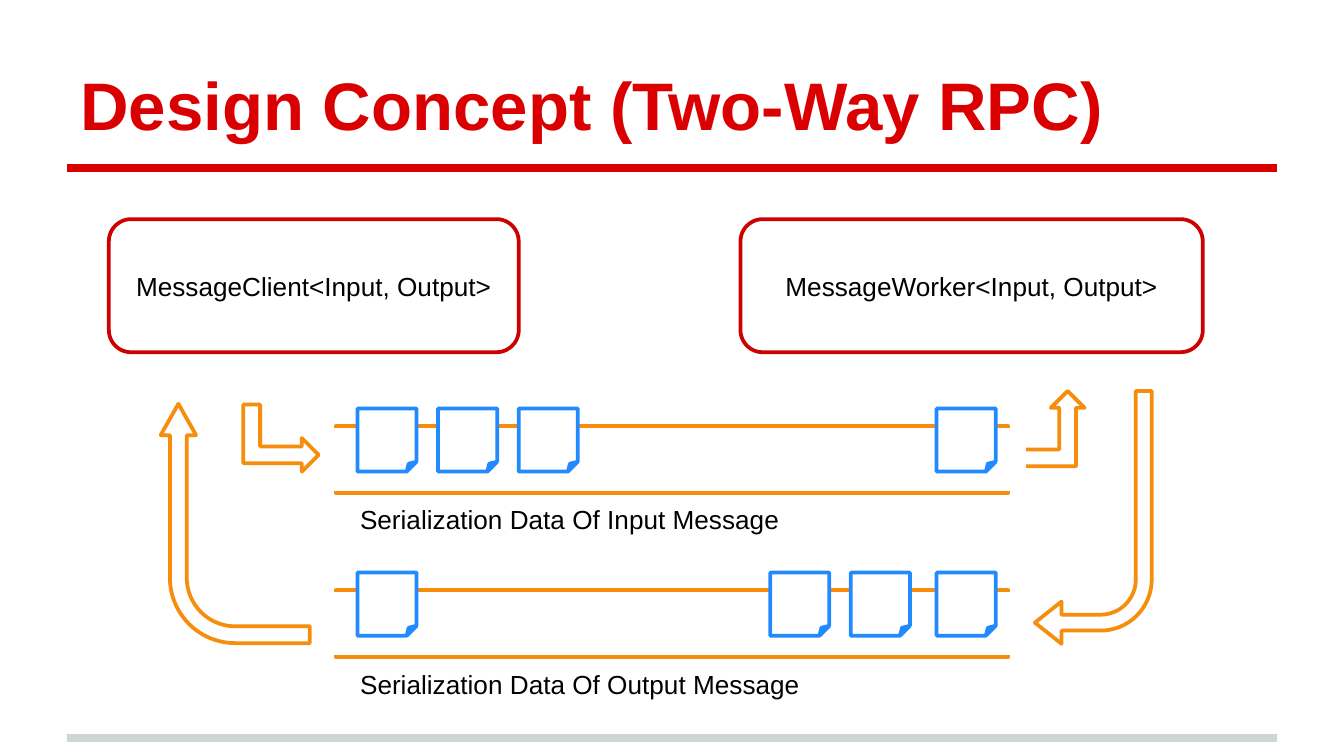
from dataclasses import dataclass
from typing import Optional

from lxml import etree
from pptx import Presentation
from pptx.dml.color import RGBColor
from pptx.enum import shapes, text
from pptx.oxml import ns
from pptx.util import Pt

Shape = shapes.MSO_SHAPE


@dataclass(frozen=True)
class Theme:
    font: str = "Arial"
    title_size: float = 36
    body_size: float = 14
    rule_width: float = 4
    outline_width: float = 2
    title: str = "DA0002"
    footer: str = "CFD4D4"
    endpoint: str = "CC0202"
    flow: str = "F68D0C"
    message: str = "228AFF"
    paper: str = "FFFFFF"
    ink: str = "000000"


@dataclass(frozen=True)
class Box:
    left: float
    top: float
    width: float
    height: float

    def emu(self) -> tuple:
        return Pt(self.left), Pt(self.top), Pt(self.width), Pt(self.height)


@dataclass(frozen=True)
class Endpoint:
    name: str
    box: Box


@dataclass(frozen=True)
class Queue:
    caption: str
    caption_width: float
    top: float
    messages: tuple


@dataclass(frozen=True)
class Arrow:
    kind: Shape
    box: Box
    rotation: float
    adjustments: tuple = ()


THEME = Theme()
QUEUE_LEFT, QUEUE_WIDTH, QUEUE_HEIGHT = 180, 360, 36
FIRST, STEP, LAST = 191.5, 43.2, 501.8  # message positions along a queue

ENDPOINTS = (
    Endpoint("MessageClient<Input, Output>", Box(58.3, 117.4, 219.6, 71.3)),
    Endpoint("MessageWorker<Input, Output>", Box(396.7, 117.4, 247.7, 71.3)),
)
QUEUES = (
    Queue("Serialization Data Of Input Message", 240.5, 228.2,
          (FIRST, FIRST + STEP, FIRST + 2 * STEP, LAST)),
    Queue("Serialization Data Of Output Message", 251.3, 316.1,
          (FIRST, 412.6, 412.6 + STEP, LAST)),
)
REQUEST_ARROWS = (
    Arrow(Shape.BENT_UP_ARROW, Box(545, 209.5, 36, 40.3), 0),
    Arrow(Shape.BENT_UP_ARROW, Box(132.5, 214.6, 36, 40.3), 90),
)
RESPONSE_ARROWS = (
    Arrow(Shape.BENT_ARROW, Box(554.4, 209.5, 62.6, 135.4), 180,
          (0.136, 0.181, 0.228, 0.438)),
    Arrow(Shape.BENT_ARROW, Box(61.9, 240.5, 128.2, 79.9), 270,
          (0.113, 0.119, 0.21, 0.438)),
)


def draw_shape(slide, kind: Shape, box: Box, outline: Optional[str] = None):
    shape = slide.shapes.add_shape(kind, *box.emu())
    shape.shadow.inherit = False
    shape.fill.solid()
    shape.fill.fore_color.rgb = RGBColor.from_string(THEME.paper)
    if outline:
        shape.line.color.rgb = RGBColor.from_string(outline)
        shape.line.width = Pt(THEME.outline_width)
    else:
        shape.line.fill.background()
    return shape


def write(frame, words: str, size: float, color: str, bold: bool = False):
    paragraph = frame.paragraphs[0]
    paragraph.text = words
    font = paragraph.font
    font.name, font.size, font.bold = THEME.font, Pt(size), bold
    font.color.rgb = RGBColor.from_string(color)
    return paragraph


def draw_rule(slide, y: float, color: str) -> None:
    rule = slide.shapes.add_connector(
        shapes.MSO_CONNECTOR.STRAIGHT, Pt(36), Pt(y), Pt(684), Pt(y))
    rule.line.color.rgb = RGBColor.from_string(color)
    rule.line.width = Pt(THEME.rule_width)
    etree.SubElement(rule.element.spPr, ns.qn("a:effectLst"))


def draw_title(slide, words: str) -> None:
    frame = slide.shapes.add_textbox(*Box(36, 16.6, 648, 67.7).emu()).text_frame
    frame.word_wrap = True
    frame.vertical_anchor = text.MSO_ANCHOR.BOTTOM
    frame.margin_left = frame.margin_right = Pt(7.2)
    frame.margin_top = frame.margin_bottom = Pt(7.2)
    write(frame, words, THEME.title_size, THEME.title, bold=True)


def draw_endpoint(slide, endpoint: Endpoint) -> None:
    shape = draw_shape(slide, Shape.ROUNDED_RECTANGLE, endpoint.box, THEME.endpoint)
    frame = shape.text_frame
    frame.vertical_anchor = text.MSO_ANCHOR.MIDDLE
    paragraph = write(frame, endpoint.name, THEME.body_size, THEME.ink)
    paragraph.alignment = text.PP_ALIGN.CENTER


def draw_arrow(slide, arrow: Arrow) -> None:
    shape = draw_shape(slide, arrow.kind, arrow.box, THEME.flow)
    shape.rotation = arrow.rotation
    for index, value in enumerate(arrow.adjustments):
        shape.adjustments[index] = value


def draw_queue(slide, queue: Queue) -> None:
    # The borderless band opens both ends of the channel
    draw_shape(slide, Shape.RECTANGLE,
               Box(QUEUE_LEFT, queue.top, QUEUE_WIDTH, QUEUE_HEIGHT), THEME.flow)
    draw_shape(slide, Shape.FLOWCHART_PROCESS,
               Box(QUEUE_LEFT - 5, queue.top + 1.1, QUEUE_WIDTH + 14.4, 33.8))
    for left in queue.messages:
        draw_shape(slide, Shape.FOLDED_CORNER,
                   Box(left, queue.top - 9.3, 31.7, 33.8), THEME.message)
    caption = Box(185.8, queue.top + 38.2, queue.caption_width, 24.5)
    frame = slide.shapes.add_textbox(*caption.emu()).text_frame
    frame.word_wrap = False
    frame.auto_size = text.MSO_AUTO_SIZE.SHAPE_TO_FIT_TEXT
    write(frame, queue.caption, THEME.body_size, THEME.ink)


def main() -> None:
    deck = Presentation()
    deck.slide_width, deck.slide_height = Pt(720), Pt(405)
    slide = deck.slides.add_slide(deck.slide_layouts[6])

    # Frame and title
    draw_rule(slide, 395.3, THEME.footer)
    draw_rule(slide, 90, THEME.title)
    draw_title(slide, "Design Concept (Two-Way RPC)")

    # Client and worker
    for endpoint in ENDPOINTS:
        draw_endpoint(slide, endpoint)

    # Message flow: request arrows lie behind the queues, response arrows in front
    for arrow in REQUEST_ARROWS:
        draw_arrow(slide, arrow)
    for queue in QUEUES:
        draw_queue(slide, queue)
    for arrow in RESPONSE_ARROWS:
        draw_arrow(slide, arrow)

    deck.save("out.pptx")


if __name__ == "__main__":
    main()
